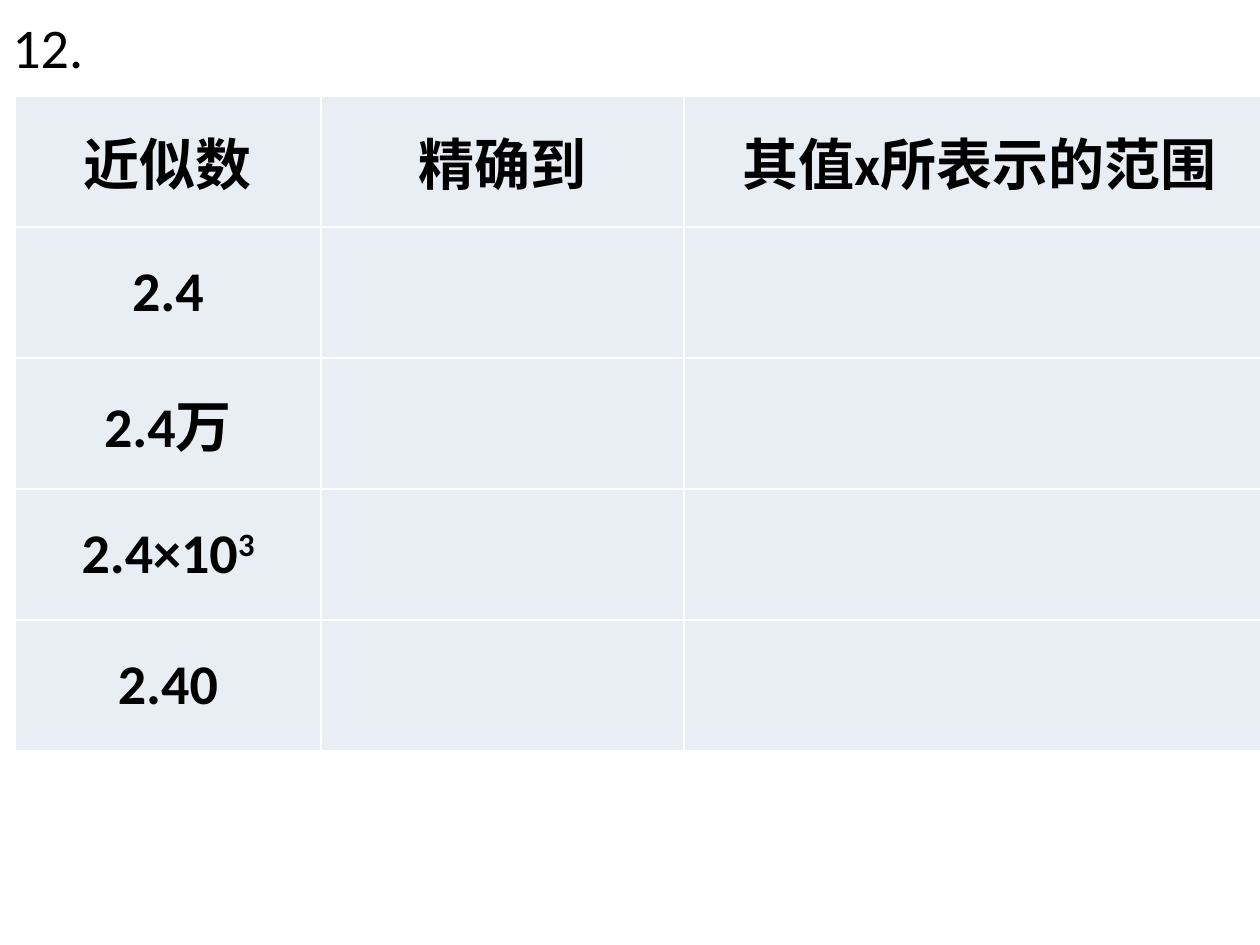
from lxml import etree
from pptx import Presentation
from pptx.dml.color import RGBColor
from pptx.enum.text import MSO_ANCHOR, MSO_AUTO_SIZE, PP_ALIGN
from pptx.oxml.ns import qn
from pptx.util import Pt

MIDDLE = MSO_ANCHOR.MIDDLE
CENTER = PP_ALIGN.CENTER
GROW = MSO_AUTO_SIZE.SHAPE_TO_FIT_TEXT

# Content: each "^" starts a superscript
LABEL = "12."
ROWS = [
    ("近似数", "精确到", "其值x所表示的范围"),
    ("2.4", "", ""),
    ("2.4万", "", ""),
    ("2.4×10^3", "", ""),
    ("2.40", "", ""),
]

# Theme and layout, in px
THEME = {"font": "Calibri", "size": 32, "text": "000000",
         "cell": "E9EDF4", "line": "FFFFFF", "width": 1}
COLS = (306, 363, 591)
ROW_H = 131
LEFT, TOP = 15, 96
PAD = 9


def px(n):
    return round(n * 914400 / 126)


def style(run, bold):
    font = run.font
    font.name = THEME["font"]
    font.size = Pt(THEME["size"])
    font.bold = bold
    font.color.rgb = RGBColor.from_string(THEME["text"])


def add_lines(cell):
    props = cell._tc.get_or_add_tcPr()
    for i, side in enumerate(("lnL", "lnR", "lnT", "lnB")):
        line = etree.Element(qn("a:" + side), w=str(Pt(THEME["width"])))
        fill = etree.SubElement(line, qn("a:solidFill"))
        etree.SubElement(fill, qn("a:srgbClr"), val=THEME["line"])
        props.insert(i, line)


def fill_cell(cell, text):
    cell.fill.solid()
    cell.fill.fore_color.rgb = RGBColor.from_string(THEME["cell"])
    cell.vertical_anchor = MIDDLE
    cell.margin_left = cell.margin_right = px(PAD)
    cell.margin_top = cell.margin_bottom = 0
    add_lines(cell)
    para = cell.text_frame.paragraphs[0]
    para.alignment = CENTER
    for i, part in enumerate(text.split("^") if text else []):
        run = para.add_run()
        run.text = part
        style(run, True)
        if i:
            run.font._element.set("baseline", "30000")


def add_grid(slide):
    table = slide.shapes.add_table(
        len(ROWS), len(COLS), px(LEFT), px(TOP),
        px(sum(COLS)), px(ROW_H * len(ROWS))).table
    table.first_row = table.horz_banding = False
    for col, width in zip(table.columns, COLS):
        col.width = px(width)
    for r, row in enumerate(ROWS):
        table.rows[r].height = px(ROW_H)
        for c, text in enumerate(row):
            fill_cell(table.cell(r, c), text)


def add_label(slide):
    box = slide.shapes.add_textbox(0, px(6), px(194), px(81))
    frame = box.text_frame
    frame.word_wrap = True
    frame.auto_size = GROW
    frame.text = LABEL
    style(frame.paragraphs[0].runs[0], False)


def main():
    deck = Presentation()
    deck.slide_width, deck.slide_height = px(1260), px(945)
    slide = deck.slides.add_slide(deck.slide_layouts[6])
    add_grid(slide)
    add_label(slide)
    deck.save("out.pptx")


if __name__ == "__main__":
    main()
